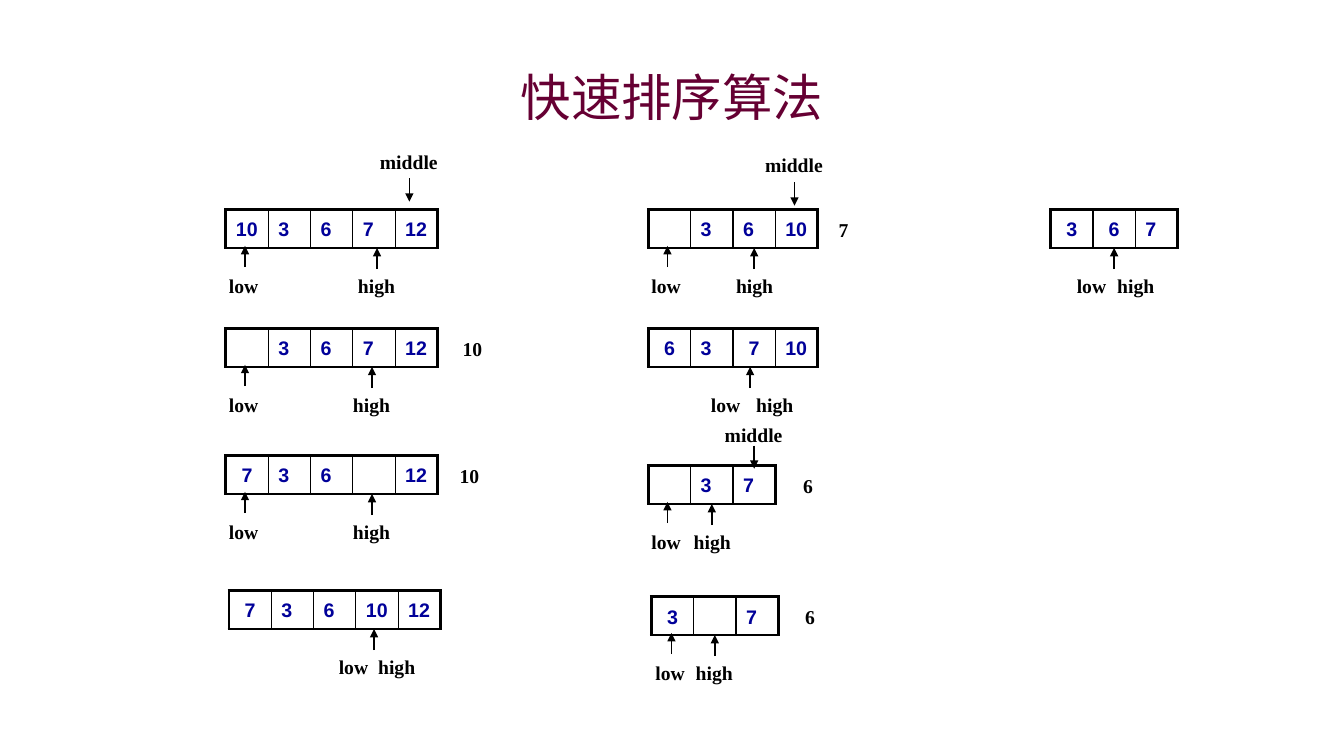
"""Build the quicksort walkthrough slide."""
from lxml import etree
from pptx import Presentation
from pptx import util as u
from pptx.dml.color import RGBColor
from pptx.enum import shapes, text
from pptx.oxml import ns

PX = 9144
BLACK = RGBColor(0x00, 0x00, 0x00)
NAVY = RGBColor(0x00, 0x00, 0x99)
PLUM = RGBColor(0x66, 0x00, 0x33)
CELL_W, CELL_H = 42, 37
LEFT, CENTER = text.PP_ALIGN.LEFT, text.PP_ALIGN.CENTER
LABEL = {"name": "Times New Roman", "size": u.Pt(14), "bold": True}
NUMBER = {"name": "Arial", "size": u.Pt(14), "bold": True}
TITLE = {"name": "Arial", "size": u.Pt(36), "bold": False}

# left, top, values, centred cells, low label, high label, low arrow, high arrow, pivot
STEPS = [
    (224, 208, ["10", "3", "6", "7", "12"], [], 227, 342, 243, 374, None),
    (224, 326, ["", "3", "6", "7", "12"], [], 227, 337, 243, 369, (451, "10")),
    (224, 452, ["7", "3", "6", "", "12"], [0], 227, 337, 243, 369, (448, "10")),
    (227, 586, ["7", "3", "6", "10", "12"], [0], 336, 362, None, 371, None),
    (643, 208, ["", "3", "6", "10"], [], 646, 717, 662, 748, (819, "7")),
    (643, 326, ["6", "3", "7", "10"], [0, 2], 705, 737, None, 744, None),
    (643, 462, ["", "3", "7"], [], 646, 675, 662, 706, (784, "6")),
    (646, 592, ["3", "", "7"], [0], 650, 677, 666, 709, (786, "6")),
    (1042, 208, ["3", "6", "7"], [0, 1], 1068, 1095, None, 1105, None),
]
MIDDLES = [(374, 149, 28), (756, 152, 29), (716, 420, 22)]

prs = Presentation()
prs.slide_width, prs.slide_height = 1333 * PX, 750 * PX
s = prs.slides.add_slide(prs.slide_layouts[6])


def write(tf, value, align, style, color):
    p = tf.paragraphs[0]
    p.alignment = align
    r = p.add_run()
    r.text = value
    for name, setting in style.items():
        setattr(r.font, name, setting)
    r.font.color.rgb = color
    return p


def arrow(x, start, end):
    line = s.shapes.add_connector(
        shapes.MSO_CONNECTOR.STRAIGHT, x * PX, start * PX, x * PX, end * PX)
    line.line.color.rgb = BLACK
    line.line.width = u.Pt(1)
    etree.SubElement(line.line._get_or_add_ln(), ns.qn("a:tailEnd"), type="triangle")
    etree.SubElement(line._element.spPr, ns.qn("a:effectLst"))


title = s.shapes.add_textbox(100 * PX, 58 * PX, 1133 * PX, 75 * PX)
title.text_frame.word_wrap = True
title.text_frame.vertical_anchor = text.MSO_ANCHOR.MIDDLE
write(title.text_frame, "快速排序算法", CENTER, TITLE, PLUM)

labels = []
for left, top, values, centred, low, high, low_arrow, high_arrow, pivot in STEPS:
    count = len(values)
    frame = s.shapes.add_table(
        1, count, left * PX, top * PX, count * CELL_W * PX, CELL_H * PX)
    table = frame.table
    table.first_row = table.horz_banding = False
    table.rows[0].height = CELL_H * PX
    for i, value in enumerate(values):
        table.columns[i].width = CELL_W * PX
        cell = table.cell(0, i)
        tcPr = cell._tc.get_or_add_tcPr()
        thick = {"L": i == 0, "R": i == count - 1, "T": True, "B": True}
        for side, outer in thick.items():
            ln = etree.SubElement(
                tcPr, ns.qn("a:ln" + side), w=str(u.Pt(2.25 if outer else 1)))
            fill = etree.SubElement(ln, ns.qn("a:solidFill"))
            etree.SubElement(fill, ns.qn("a:srgbClr"), val=str(BLACK))
        cell.fill.background()
        if value:
            p = write(cell.text_frame, value, CENTER if i in centred else LEFT, NUMBER, NAVY)
            p.line_spacing = 1.2
        else:
            end = etree.SubElement(cell.text_frame.paragraphs[0]._p, ns.qn("a:endParaRPr"))
            end.set("sz", "1400")
    labels += [(high, top + 64, 63, "high", CENTER), (low, top + 64, 35, "low", LEFT)]
    arrow(high_arrow, top + 59, top + 38)
    if low_arrow:
        arrow(low_arrow, top + 57, top + 36)
    if pivot:
        labels.append((pivot[0], top + 8, 35, pivot[1], CENTER))

for left, top, gap in MIDDLES:
    labels.append((left, top, 63, "middle", CENTER))
    arrow(left + 32, top + gap, top + gap + 23)

for left, top, width, value, align in labels:
    tf = s.shapes.add_textbox(left * PX, top * PX, width * PX, 24 * PX).text_frame
    tf.word_wrap = True
    for side in ("left", "right", "top", "bottom"):
        setattr(tf, "margin_" + side, 0)
    write(tf, value, align, LABEL, BLACK)

prs.save("out.pptx")
